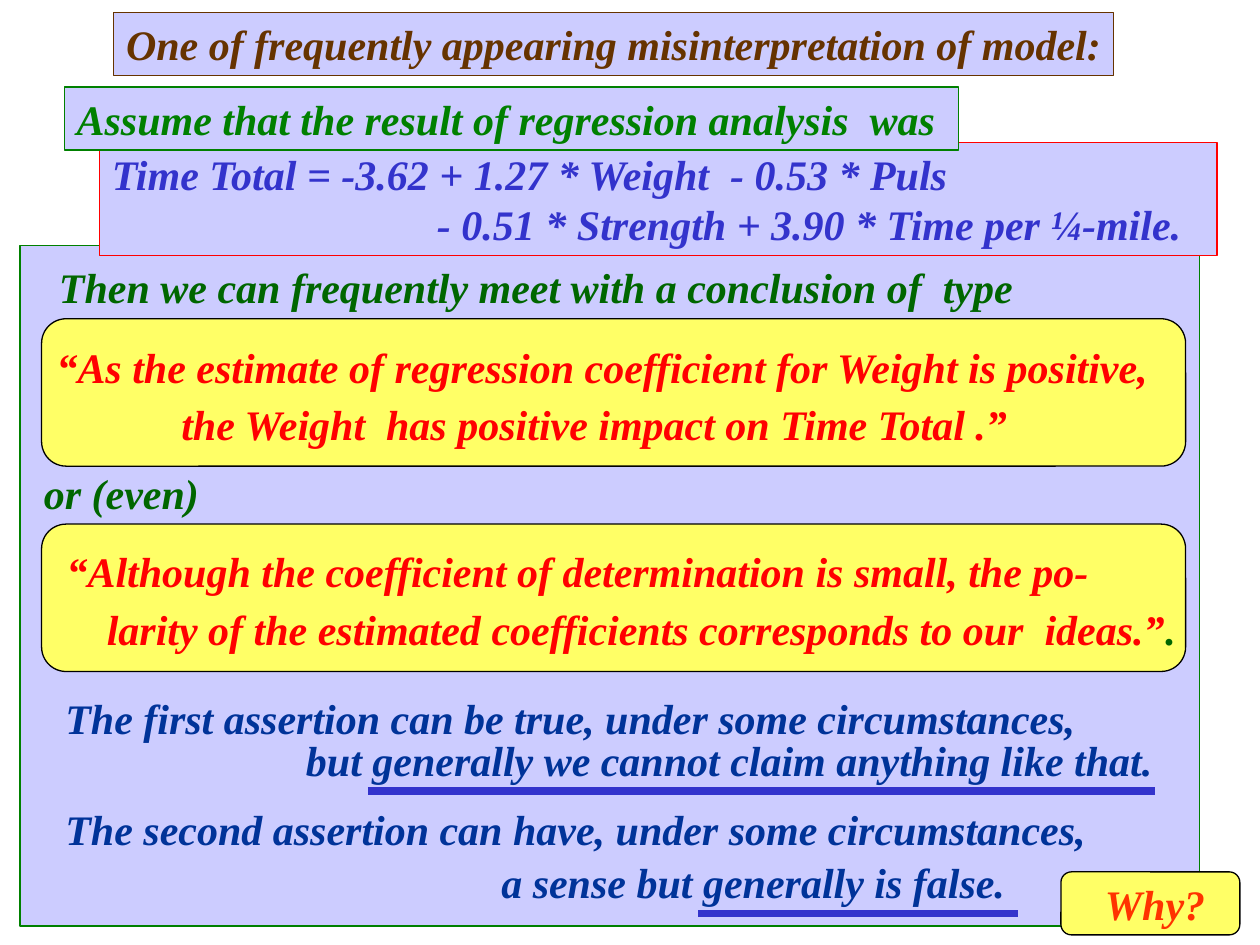
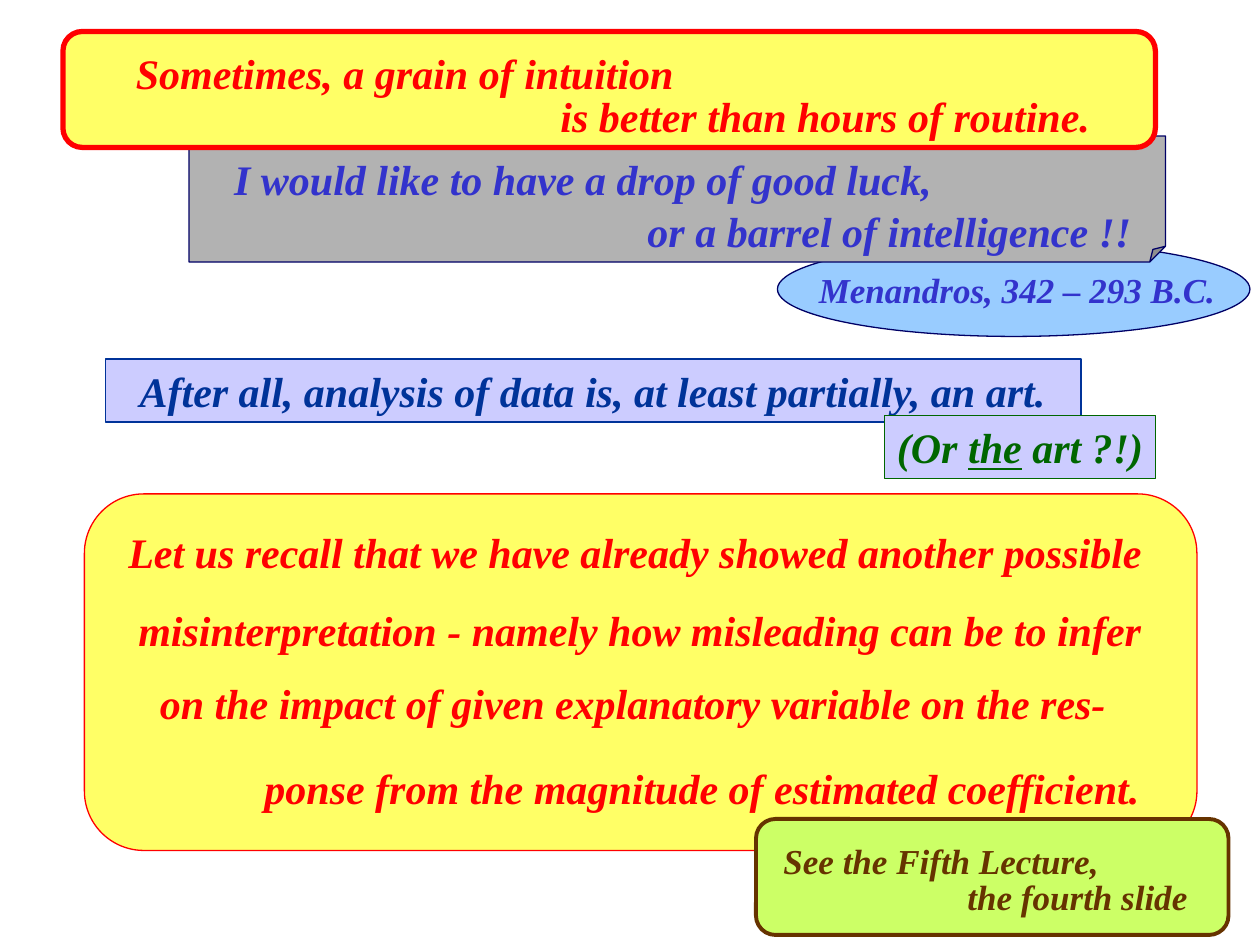
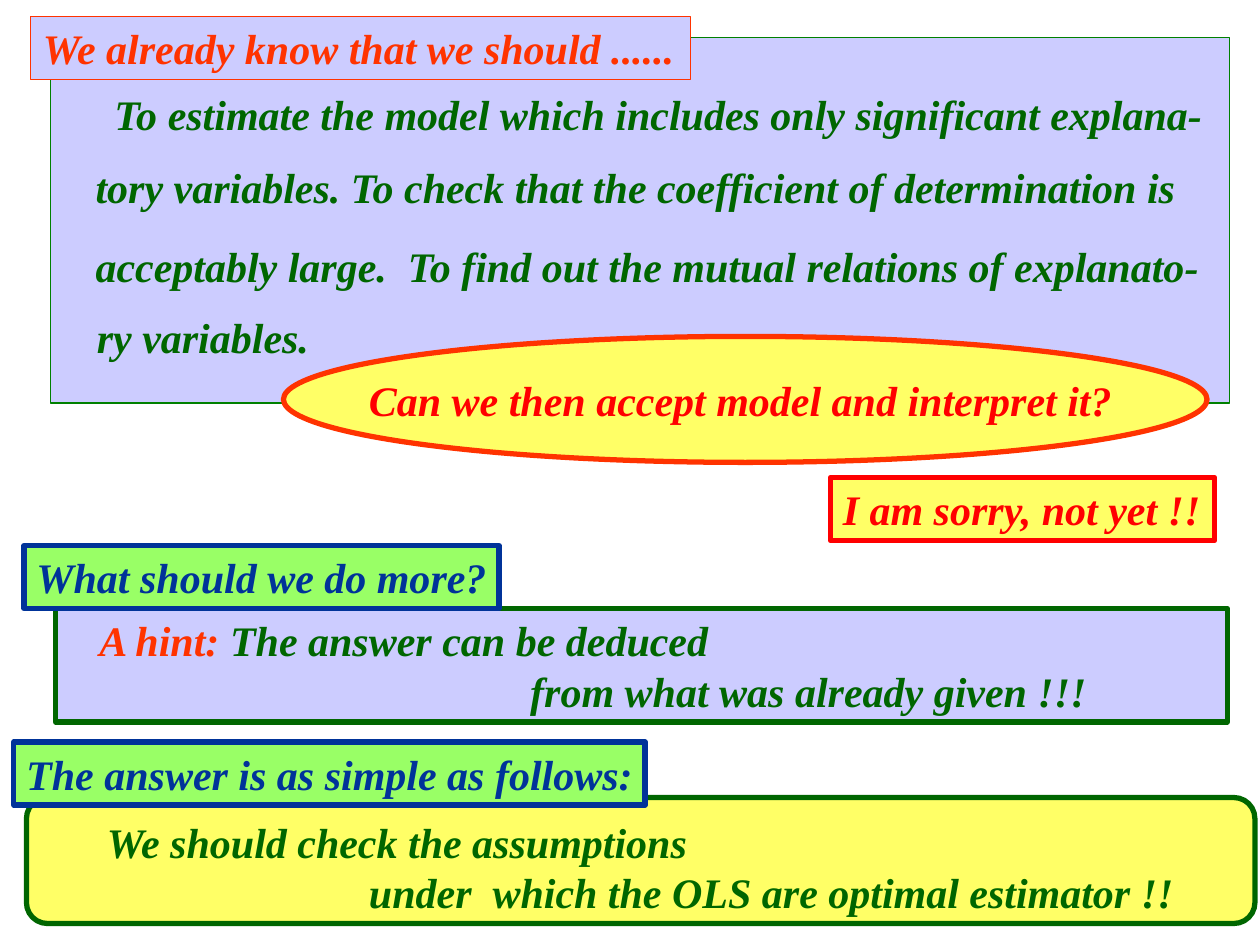
from dataclasses import dataclass

from lxml.etree import SubElement
from pptx import Presentation
from pptx.dml.color import RGBColor
from pptx.enum.shapes import MSO_CONNECTOR, MSO_SHAPE
from pptx.enum.text import MSO_ANCHOR, MSO_AUTO_SIZE, PP_ALIGN
from pptx.oxml.ns import qn
from pptx.slide import Slide
from pptx.util import Inches, Pt

FONT = "Times New Roman"
TITLE_ONLY, BLANK = 5, 6
COLORS = {
    "lilac": "CCCCFF", "yellow": "FFFF66", "lime": "CCFF66", "mint": "99FF66",
    "sky": "99CCFF", "gray": "B2B2B2", "black": "000000", "brown": "663300",
    "green": "008000", "forest": "006600", "blue": "003399", "navy": "000066",
    "violet": "3333CC", "red": "FF0000", "orange": "FF3300",
}
RECT, ROUND = MSO_SHAPE.RECTANGLE, MSO_SHAPE.ROUNDED_RECTANGLE
OVAL, FOLDED = MSO_SHAPE.OVAL, MSO_SHAPE.FOLDED_CORNER


@dataclass(frozen=True)
class Look:
    fill: str
    line: str
    weight: float = 0.75
    form: MSO_SHAPE = RECT


@dataclass(frozen=True)
class Bit:
    words: str
    ink: str | None = None
    under: bool = False


@dataclass(frozen=True)
class Para:
    bits: tuple[Bit, ...]
    indent: float = 0


@dataclass(frozen=True)
class Box:
    """A panel, a text, or both; a look of None gives a plain text box."""
    left: float
    top: float
    width: float
    height: float = 0.5
    look: Look | None = None
    ink: str = "black"
    paras: tuple[Para, ...] = ()
    size: int = 24
    title: bool = False


@dataclass(frozen=True)
class Rule:
    left: float
    top: float
    right: float


def line(words: str, indent: float = 0) -> Para:
    return Para((Bit(words),), indent)


def text(left: float, top: float, width: float, ink: str, words: str) -> Box:
    return Box(left, top, width, ink=ink, paras=(line(words),))


def small(left: float, top: float, width: float, ink: str, words: str) -> Box:
    return Box(left, top, width, 0.44, ink=ink, paras=(line(words),), size=20)


def label(left: float, top: float, width: float, look: Look, words: str,
          title: bool = False, indent: float = 0) -> Box:
    """One line of text in a frame of the same colour as its words."""
    return Box(left, top, width, look=look, ink=look.line,
               paras=(line(words, indent),), title=title)


def color(name: str) -> RGBColor:
    return RGBColor.from_string(COLORS[name])


def write(shape, box: Box) -> None:
    frame = shape.text_frame
    frame.word_wrap = True
    frame.auto_size = MSO_AUTO_SIZE.NONE
    frame.vertical_anchor = MSO_ANCHOR.TOP
    frame.margin_left, frame.margin_right = Inches(0.1), 0
    frame.margin_top = frame.margin_bottom = Inches(0.05)
    for index, para in enumerate(box.paras):
        target = frame.add_paragraph() if index else frame.paragraphs[0]
        target.alignment = PP_ALIGN.LEFT
        if para.indent:
            props = target._p.get_or_add_pPr()
            props.set("marL", str(Inches(para.indent)))
            props.set("indent", "0")
        font = target.font
        font.name, font.size = FONT, Pt(box.size)
        font.bold = font.italic = True
        font.color.rgb = color(box.ink)
        for bit in para.bits:
            run = target.add_run()
            run.text = bit.words
            if bit.ink:
                run.font.color.rgb = color(bit.ink)
            if bit.under:
                run.font.underline = True


def fold(shape) -> None:
    """Set the corner's size, which python-pptx does not offer for this shape."""
    geom = shape._element.spPr.find(qn("a:prstGeom"))
    guides = geom.find(qn("a:avLst"))
    if guides is None:
        guides = SubElement(geom, qn("a:avLst"))
    SubElement(guides, qn("a:gd"), name="adj", fmla="val 12500")


def draw_box(slide: Slide, box: Box) -> None:
    place = [Inches(n) for n in (box.left, box.top, box.width, box.height)]
    if box.title:
        shape = slide.shapes.title
        shape.left, shape.top, shape.width, shape.height = place
        slide.shapes._spTree.append(shape._element)  # to the front
    elif box.look:
        shape = slide.shapes.add_shape(box.look.form, *place)
        shape.shadow.inherit = False
        if box.look.form == FOLDED:
            fold(shape)
    else:
        shape = slide.shapes.add_textbox(*place)
    if box.look:
        shape.fill.solid()
        shape.fill.fore_color.rgb = color(box.look.fill)
        shape.line.color.rgb = color(box.look.line)
        shape.line.width = Pt(box.look.weight)
    if box.paras:
        write(shape, box)


def draw_rule(slide: Slide, rule: Rule) -> None:
    stroke = slide.shapes.add_connector(
        MSO_CONNECTOR.STRAIGHT, Inches(rule.left), Inches(rule.top),
        Inches(rule.right), Inches(rule.top))
    stroke.line.color.rgb = color("violet")
    stroke.line.width = Pt(4.5)
    SubElement(stroke._element.spPr, qn("a:effectLst"))


QUOTE = Look("yellow", "black", form=ROUND)
PANEL = Look("lilac", "green")
STEP = Look("mint", "blue", 3)

MISREAD = (
    label(0.9, 0.1, 7.94, Look("lilac", "brown"),
          "One of frequently appearing misinterpretation of model:", title=True),
    Box(0.16, 1.95, 9.36, 5.4, PANEL),
    text(0.37, 2.03, 7.77, "forest",
         "Then we can frequently meet with a conclusion of  type"),
    text(0.42, 5.45, 8.3, "blue",
         "The first assertion can be true, under some circumstances,"),
    text(2.33, 5.78, 7, "blue",
         "but generally we cannot claim anything like that."),
    Box(8.42, 6.92, 1.42, look=QUOTE),
    text(8.67, 6.92, 1.08, "orange", "Why?"),
    Rule(2.92, 6.28, 9.17),
    Box(0.33, 2.53, 9.08, 1.17, QUOTE),
    text(0.35, 2.66, 8.98, "red",
         "“As the estimate of regression coefficient for Weight is positive,"),
    text(1.34, 3.11, 6.91, "red",
         "the Weight  has positive impact on Time Total .”"),
    text(0.25, 3.66, 1.43, "forest", "or (even)"),
    Box(0.33, 4.16, 9.08, 1.17, QUOTE),
    text(0.43, 4.28, 8.32, "red",
         "“Although the coefficient of determination is small, the po-"),
    Box(0.75, 4.74, 8.77, ink="red", paras=(Para((
        Bit("larity of the estimated coefficients corresponds to our  ideas.”"),
        Bit(".", "forest"))),)),
    Box(0.79, 1.13, 8.87, 0.9, Look("lilac", "red"), "violet", (
        line("Time Total = -3.62 + 1.27 * Weight  - 0.53 * Puls"),
        line("- 0.51 * Strength + 3.90 * Time per ¼-mile.", 2.58))),
    label(0.51, 0.69, 7.1, PANEL,
          "Assume that the result of regression analysis  was"),
    text(0.42, 6.33, 8.38, "blue",
         "The second assertion can have, under some circumstances,"),
    text(3.88, 6.75, 4.28, "blue", "a sense but generally is false."),
    Rule(5.54, 7.25, 8.08),
)

ART = (
    Box(0.67, 3.92, 8.83, 2.83, Look("yellow", "red", form=ROUND)),
    text(0.92, 4.13, 8.24, "red",
         "Let us recall that we have already showed another possible"),
    text(1, 4.75, 8.24, "red",
         "misinterpretation - namely how misleading can be to infer"),
    text(2, 6, 7.15, "red",
         "ponse from the magnitude of estimated coefficient."),
    label(0.84, 2.85, 7.74, Look("lilac", "blue"),
          "After all, analysis of data is, at least partially, an art.",
          indent=0.17),
    Box(7.02, 3.3, 2.15, look=Look("lilac", "forest"), ink="forest", paras=(
        Para((Bit("(Or "), Bit("the", under=True), Bit(" art ?!)"))),)),
    text(1.17, 5.33, 7.71, "red",
         "on the impact of given explanatory variable on the res-"),
    Box(6, 6.5, 3.75, 0.92, Look("lime", "brown", 2.25, ROUND)),
    small(6.12, 6.61, 2.7, "brown", "See the Fifth Lecture,"),
    small(7.58, 6.9, 1.95, "brown", "the fourth slide"),
    Box(6.17, 1.92, 3.75, 0.75, Look("sky", "navy", form=OVAL)),
    small(6.4, 2.08, 3.34, "violet", "Menandros, 342 – 293 B.C."),
    Box(1.5, 1.08, 7.75, 1, Look("gray", "navy", form=FOLDED)),
    text(1.76, 1.17, 5.73, "violet", "I would like to have a drop of good luck,"),
    text(5.04, 1.58, 4.04, "violet", "or a barrel of intelligence !!"),
    Box(0.5, 0.25, 8.67, 0.92, Look("yellow", "red", 3, ROUND)),
    text(0.98, 0.33, 4.55, "red", "Sometimes, a grain of intuition"),
    text(4.35, 0.67, 4.4, "red", "is better than hours of routine."),
)

ANSWER = (
    Box(0.4, 0.3, 9.36, 2.9, PANEL),
    text(0.81, 0.65, 8.95, "forest",
         "To estimate the model which includes only significant explana-"),
    text(0.66, 1.23, 8.89, "forest",
         "tory variables. To check that the coefficient of determination is"),
    text(0.66, 1.86, 8.98, "forest",
         "acceptably large.  To find out the mutual relations of explanato-"),
    text(0.67, 2.42, 1.88, "forest", "ry variables."),
    label(6.59, 3.79, 3.05, Look("yellow", "red", 3), "I am sorry, not yet !!"),
    Box(0.44, 4.83, 9.3, 0.9, Look("lilac", "forest", 3), "forest", (
        Para((Bit("A hint:", "orange"), Bit(" The answer can be deduced")), 0.25),
        line("from what was already given !!!", 3.67))),
    label(0.19, 4.33, 3.77, STEP, "What should we do more?"),
    label(0.24, 0.13, 5.24, Look("lilac", "orange"),
          "We already know that we should ......", title=True),
    Box(2.25, 2.67, 7.33, 1, Look("yellow", "orange", 3, OVAL)),
    text(2.83, 2.92, 6.1, "red", "Can we then accept model and interpret it?"),
    Box(0.21, 6.33, 9.75, 1, Look("yellow", "forest", 3, ROUND)),
    Box(0.58, 6.43, 9.09, 0.9, ink="forest", paras=(
        line("We should check the assumptions", 0.17),
        line("under  which the OLS are optimal estimator !!", 2.25))),
    label(0.11, 5.89, 5.01, STEP, "The answer is as simple as follows:"),
)


def main() -> None:
    deck = Presentation()
    deck.slide_width, deck.slide_height = Inches(10), Inches(7.5)
    for items, layout in ((MISREAD, TITLE_ONLY), (ART, BLANK), (ANSWER, TITLE_ONLY)):
        slide = deck.slides.add_slide(deck.slide_layouts[layout])
        for item in items:
            if isinstance(item, Rule):
                draw_rule(slide, item)
            else:
                draw_box(slide, item)
    deck.save("out.pptx")


if __name__ == "__main__":
    main()
